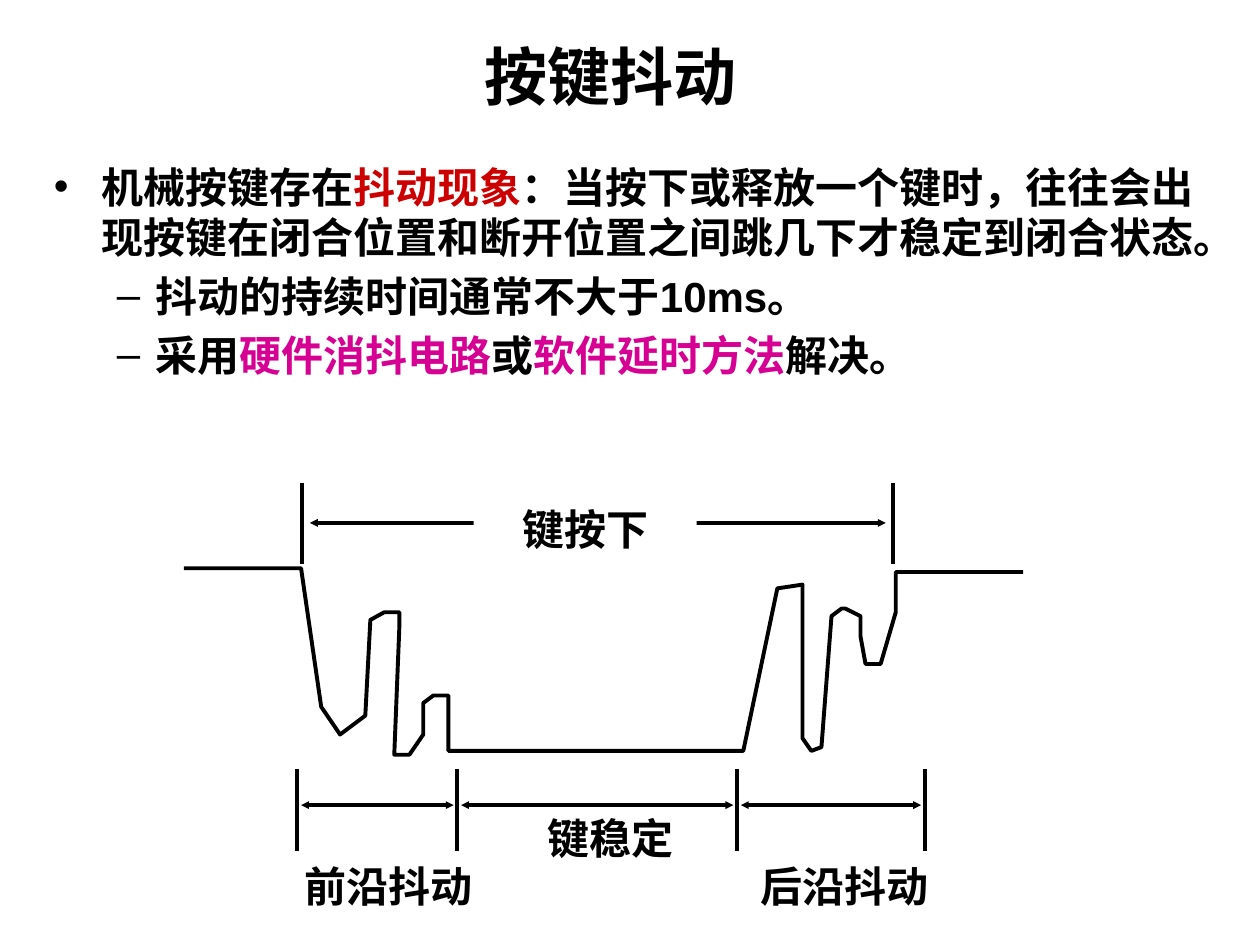
from lxml import etree
from pptx import Presentation
from pptx import util as u
from pptx.dml.color import RGBColor
from pptx.enum import shapes, text
from pptx.oxml.ns import qn

BLACK, WHITE, RED, PINK = "000000", "FFFFFF", "CC0000", "D60093"
SERIF, SANS = "Times New Roman", "Arial"

BODY = [
    (0, [("机械按键存在", BLACK, SERIF), ("抖动现象", RED, SERIF),
         ("：当按下或释放一个键时，往往会出现按键在闭合位置和断开位置之间跳几下才稳定到闭合状态。",
          BLACK, SERIF)]),
    (1, [("抖动的持续时间通常不大于", BLACK, SERIF), ("10ms。", BLACK, SANS)]),
    (1, [("采用", BLACK, SERIF), ("硬件消抖电路", PINK, SERIF), ("或", BLACK, SERIF),
         ("软件延时方法", PINK, SERIF), ("解决。", BLACK, SERIF)]),
]
# Bullet character, text margin and hanging indent for each level
LEVELS = [("•", 0.38, -0.38), ("–", 0.81, -0.31)]

# Key signal, in inches from the diagram's corner
WAVE = [(0, 0.68), (0.93, 0.68), (1.09, 1.78), (1.24, 2), (1.44, 1.85), (1.48, 1.09),
        (1.59, 1.03), (1.71, 1.03), (1.71, 1.15), (1.67, 2.16), (1.79, 2.16), (1.9, 2),
        (1.9, 1.75), (1.98, 1.69), (2.1, 1.69), (2.1, 2.13), (4.44, 2.13), (4.71, 0.84),
        (4.91, 0.81), (4.91, 2.03), (4.98, 2.13), (5.06, 2.1), (5.14, 1.06), (5.22, 1),
        (5.25, 1), (5.37, 1.06), (5.37, 1.22), (5.41, 1.44), (5.53, 1.44), (5.65, 1.03),
        (5.65, 0.71), (6.66, 0.71)]


def color(value):
    return RGBColor.from_string(value)


def set_all(obj, values):
    for name, value in values.items():
        setattr(obj, name, value)


def add_run(p, words, size=24, tint=BLACK, face=SERIF):
    r = p.add_run()
    r.text = words
    set_all(r.font, {"size": u.Pt(size), "bold": True, "name": face})
    r.font.color.rgb = color(tint)


def add_box(s, box, **frame):
    sp = s.shapes.add_textbox(*map(u.Inches, box))
    set_all(sp.text_frame, {"word_wrap": True, **frame})
    return sp


def add_title(s, box, words):
    sp = add_box(s, box, vertical_anchor=text.MSO_ANCHOR.MIDDLE)
    p = sp.text_frame.paragraphs[0]
    p.alignment = text.PP_ALIGN.CENTER
    add_run(p, words, size=36, face=SANS)


def add_body(s, box, items):
    tf = add_box(s, box).text_frame
    for i, (level, runs) in enumerate(items):
        p = tf.add_paragraph() if i else tf.paragraphs[0]
        set_all(p, {"level": level, "space_before": u.Pt(4.8)})
        mark, margin, indent = LEVELS[level]
        pPr = p._p.get_or_add_pPr()
        pPr.set("marL", str(u.Inches(margin)))
        pPr.set("indent", str(u.Inches(indent)))
        etree.SubElement(pPr, qn("a:buFont"), typeface=SANS)
        etree.SubElement(pPr, qn("a:buChar"), char=mark)
        for words, tint, face in runs:
            add_run(p, words, tint=tint, face=face)


def add_label(s, box, words, fill=None):
    margins = ("margin_left", "margin_top", "margin_right", "margin_bottom")
    sp = add_box(s, box, **dict.fromkeys(margins, u.Inches(0.01)))
    if fill:
        sp.fill.solid()
        sp.fill.fore_color.rgb = color(fill)
    p = sp.text_frame.paragraphs[0]
    p.alignment = text.PP_ALIGN.CENTER
    add_run(p, words)


def style_line(sp):
    sp.line.color.rgb = color(BLACK)
    sp.line.width = u.Pt(2.25)


def add_line(s, x1, y1, x2, y2, arrows=False):
    c = s.shapes.add_connector(shapes.MSO_CONNECTOR.STRAIGHT, *map(u.Inches, (x1, y1, x2, y2)))
    style_line(c)
    if arrows:
        for end in ("a:headEnd", "a:tailEnd"):
            etree.SubElement(c.line._get_or_add_ln(), qn(end), type="triangle", w="sm", len="sm")
    etree.SubElement(c._element.spPr, qn("a:effectLst"))


def add_span(s, x1, x2, y, gap):
    """Double arrow between two tick positions."""
    add_line(s, x1 + gap, y, x2 - gap, y, arrows=True)


def add_diagram(s, left, top):
    # Signal curve
    points = [(u.Inches(left + x), u.Inches(top + y)) for x, y in WAVE]
    fb = s.shapes.build_freeform(*points[0])
    fb.add_line_segments(points[1:], close=False)
    sp = fb.convert_to_shape()
    sp.fill.background()
    sp.shadow.inherit = False
    style_line(sp)

    # Ticks and spans: pressed time above, its three phases below
    pressed = [left + 0.94, left + 5.63]
    phases = [left + x for x in (0.9, 2.17, 4.39, 5.88)]
    for ticks, y, drop, gap in ((pressed, top, 0.32, 0.06), (phases, top + 2.27, 0.29, 0.03)):
        for x in ticks:
            add_line(s, x, y, x, y + 0.65)
        for x1, x2 in zip(ticks, ticks[1:]):
            add_span(s, x1, x2, y + drop, gap)

    # Labels
    for words, x, y, width, fill in (("键按下", 2.3, 0.16, 1.77, WHITE),
                                     ("键稳定", 2.5, 2.61, 1.77, None),
                                     ("前沿抖动", 0.69, 2.99, 1.86, None),
                                     ("后沿抖动", 4.15, 2.99, 2.18, None)):
        add_label(s, (left + x, top + y, width, 0.43), words, fill)


def main():
    prs = Presentation()
    set_all(prs, {"slide_width": u.Inches(10), "slide_height": u.Inches(7.5)})
    s = prs.slides.add_slide(prs.slide_layouts[6])
    add_title(s, (0.2, 0.21, 9.29, 0.77), "按键抖动")
    add_body(s, (0.33, 1.23, 9.4, 5.2), BODY)
    add_diagram(s, 1.46, 3.83)
    prs.save("out.pptx")


if __name__ == "__main__":
    main()
